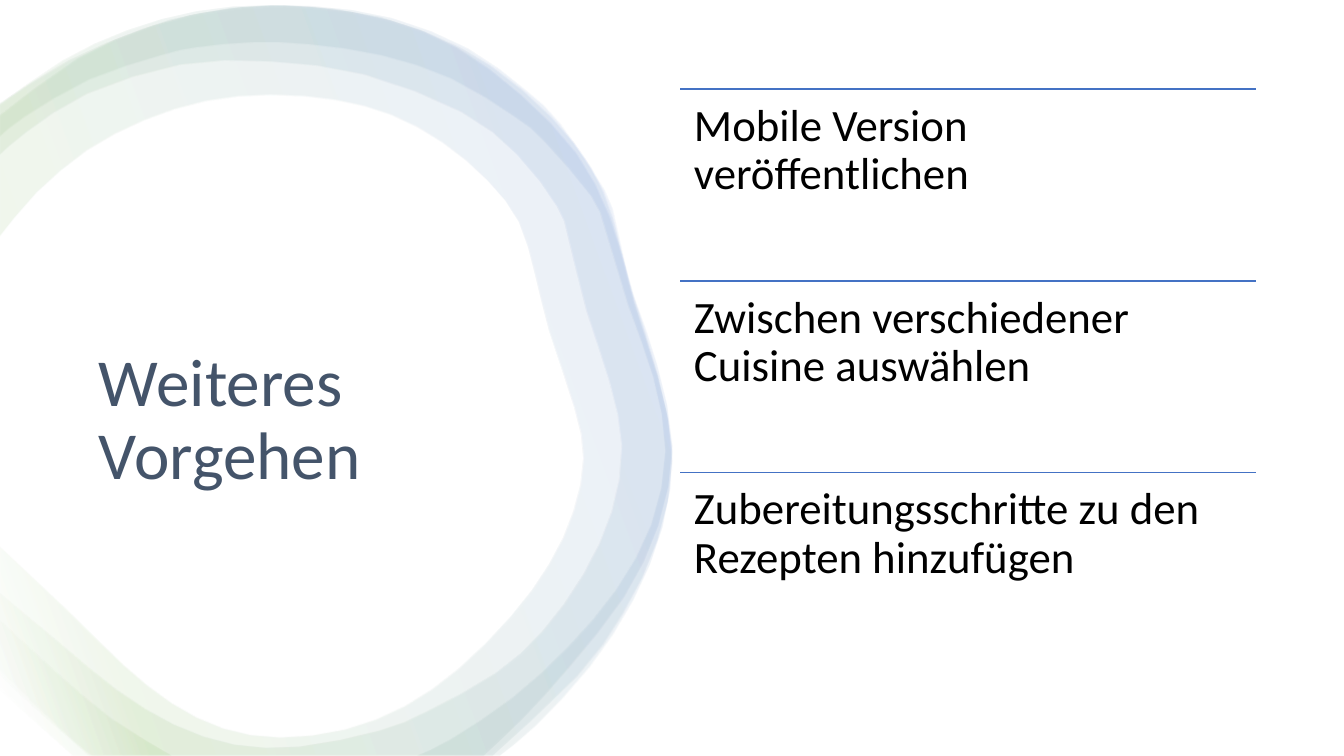
import pptx
import pptx.dml.color
import pptx.enum.shapes
import pptx.enum.text
import pptx.oxml
import pptx.oxml.ns
import pptx.util
from lxml import etree

Cm, Pt = pptx.util.Cm, pptx.util.Pt
FONT = "Calibri"
COLOURS = {"white": "FFFFFF", "title": "44546A", "text": "000000",
           "green": "70AD47", "blue": "4472C4"}
GRADIENT = [(2, "white"), (16, "green"), (85, "blue"), (100, "white")]
OPACITY = 10
GRID = 100   # ribbon grid units per 2.54 cm
FINE = 10    # drawing units per grid unit
STEPS = 2    # straight pieces between two ribbon points

STEPS_AHEAD = ["Mobile Version veröffentlichen",
               "Zwischen verschiedener Cuisine auswählen",
               "Zubereitungsschritte zu den Rezepten hinzufügen"]

# Each ribbon is a list of contours; each contour is a list of smooth edges.
WIDE_RIBBON = [[
    [(0, 104), (69, 61), (141, 30), (199, 14), (283, 6), (378, 18), (453, 48),
     (517, 95), (572, 153), (605, 216), (629, 295), (652, 363), (667, 443),
     (653, 522), (619, 593), (565, 662), (520, 712), (480, 750)],
    [(73, 750), (0, 684)],
    [(0, 588), (62, 640), (117, 685), (173, 719), (233, 739), (297, 741),
     (377, 725), (424, 706), (492, 668), (538, 627), (579, 570), (607, 508),
     (617, 443), (605, 380), (582, 309), (564, 237), (553, 206), (513, 154),
     (458, 112), (362, 75), (268, 62), (180, 65), (87, 94), (27, 132), (0, 155)],
]]
WIDEST_RIBBON = [[
    [(0, 105), (63, 61), (127, 31), (196, 12), (269, 6), (350, 13), (423, 33),
     (488, 67), (547, 117), (587, 168), (608, 218), (624, 281), (653, 374),
     (667, 458), (652, 537), (618, 609), (573, 671), (489, 750)],
    [(92, 750), (68, 730), (0, 664)],
    [(0, 542), (73, 611), (123, 660), (171, 698), (222, 723),
     (278, 732), (343, 724), (402, 701), (455, 664), (507, 612), (545, 560),
     (569, 508), (579, 455), (570, 405), (545, 329), (531, 273), (515, 221),
     (484, 180), (439, 142), (389, 115), (333, 100), (269, 95), (205, 101),
     (144, 120), (87, 150), (37, 192), (0, 236)],
]]
NARROW_RIBBON = [[
    [(0, 116), (78, 59), (151, 27), (229, 9), (309, 7), (389, 19), (464, 49),
     (521, 90), (556, 124), (600, 190), (612, 227), (629, 301), (652, 373),
     (667, 448), (657, 524), (628, 596), (585, 662), (532, 720), (496, 750)],
    [(414, 750), (447, 734), (508, 693), (563, 643), (611, 586), (646, 521),
     (660, 448), (648, 375), (623, 303), (601, 230), (587, 196), (540, 141),
     (511, 117), (448, 79), (379, 56), (307, 45), (251, 43), (196, 48),
     (160, 56), (89, 80), (25, 117), (0, 137)],
], [
    [(0, 615), (54, 665), (111, 713), (171, 750)],
    [(89, 750), (26, 694), (0, 668)],
]]


def rgb(name):
    return pptx.dml.color.RGBColor.from_string(COLOURS[name])


def smooth(edge):
    """Return points on a Catmull-Rom curve through the edge, in fine units."""
    padded = [edge[0], *edge, edge[-1]]
    curve = []
    for a, b, c, d in zip(padded, padded[1:], padded[2:], padded[3:]):
        for step in range(STEPS):
            t = step / STEPS
            curve.append(tuple(
                FINE * (q + t * ((r - p) + t * ((2 * p - 5 * q + 4 * r - s)
                        + t * (3 * q - p - 3 * r + s))) / 2)
                for p, q, r, s in zip(a, b, c, d)))
    return curve + [tuple(FINE * v for v in edge[-1])]


def fill_gradient(shape):
    """Give the shape the translucent gradient, which rises to the right."""
    stops = "".join(
        f'<a:gs pos="{pos * 1000}"><a:srgbClr val="{COLOURS[name]}">'
        f'<a:alpha val="{OPACITY * 1000}"/></a:srgbClr></a:gs>'
        for pos, name in GRADIENT)
    gradient = pptx.oxml.parse_xml(
        f'<a:gradFill {pptx.oxml.ns.nsdecls("a")} rotWithShape="1"><a:gsLst>{stops}'
        f'</a:gsLst><a:lin ang="{340 * 60000}" scaled="0"/></a:gradFill>')
    shape.fill.background()
    no_fill = shape.element.spPr.find(pptx.oxml.ns.qn("a:noFill"))
    no_fill.getparent().replace(no_fill, gradient)


def add_ribbon(slide, contours, left, top):
    builder = None
    for edges in contours:
        outline = [point for edge in edges for point in smooth(edge)]
        if builder is None:
            builder = slide.shapes.build_freeform(
                *outline[0], scale=Cm(2.54) / (GRID * FINE))
        else:
            builder.move_to(*outline[0])
        builder.add_line_segments(outline[1:], close=True)
    ribbon = builder.convert_to_shape(left, top)
    ribbon.shadow.inherit = False
    ribbon.line.fill.background()
    fill_gradient(ribbon)


def add_backdrop(slide, left, top, width, height):
    backdrop = slide.shapes.add_shape(
        pptx.enum.shapes.MSO_SHAPE.RECTANGLE, left, top, width, height)
    backdrop.shadow.inherit = False
    backdrop.fill.solid()
    backdrop.fill.fore_color.rgb = rgb("white")
    backdrop.line.fill.background()
    for contours in (WIDE_RIBBON, WIDEST_RIBBON, NARROW_RIBBON):
        add_ribbon(slide, contours, left, top)


def write(frame, words, size, colour):
    frame.word_wrap = True
    frame.auto_size = pptx.enum.text.MSO_AUTO_SIZE.NONE
    frame.vertical_anchor = pptx.enum.text.MSO_ANCHOR.TOP
    frame.text = words
    line = frame.paragraphs[0]
    line.alignment = pptx.enum.text.PP_ALIGN.LEFT
    line.line_spacing = 0.9
    line.font.name = FONT
    line.font.size = Pt(size)
    line.font.color.rgb = rgb(colour)


def add_title(slide, left, top, width, height):
    title = slide.shapes.title
    title.left, title.top, title.width, title.height = left, top, width, height
    write(title.text_frame, "Weiteres Vorgehen", 48, "title")


def add_steps_ahead(slide, left, top, width, height):
    """Divide the box into equal rows, each with a rule above its text."""
    row_height = height // len(STEPS_AHEAD)
    for row, words in enumerate(STEPS_AHEAD):
        row_top = top + row * row_height
        rule = slide.shapes.add_connector(
            pptx.enum.shapes.MSO_CONNECTOR.STRAIGHT,
            left, row_top, left + width, row_top)
        rule.line.color.rgb = rgb("blue")
        rule.line.width = Pt(1)
        etree.SubElement(rule.element.spPr, pptx.oxml.ns.qn("a:effectLst"))

        frame = slide.shapes.add_textbox(left, row_top, width, row_height).text_frame
        frame.margin_left = frame.margin_right = Cm(0.34)
        frame.margin_top = frame.margin_bottom = Cm(0.34)
        write(frame, words, 32, "text")


def main():
    deck = pptx.Presentation()
    deck.slide_width, deck.slide_height = Cm(33.87), Cm(19.05)
    slide = deck.slides.add_slide(deck.slide_layouts[5])
    add_backdrop(slide, 0, 0, deck.slide_width, deck.slide_height)
    add_title(slide, Cm(2.24), Cm(8.66), Cm(10.16), Cm(4.95))
    # The title lies above the backdrop.
    slide.shapes.title.element.getparent().append(slide.shapes.title.element)
    add_steps_ahead(slide, Cm(17.15), Cm(2.24), Cm(14.5), Cm(14.51))
    deck.save("out.pptx")


if __name__ == "__main__":
    main()
